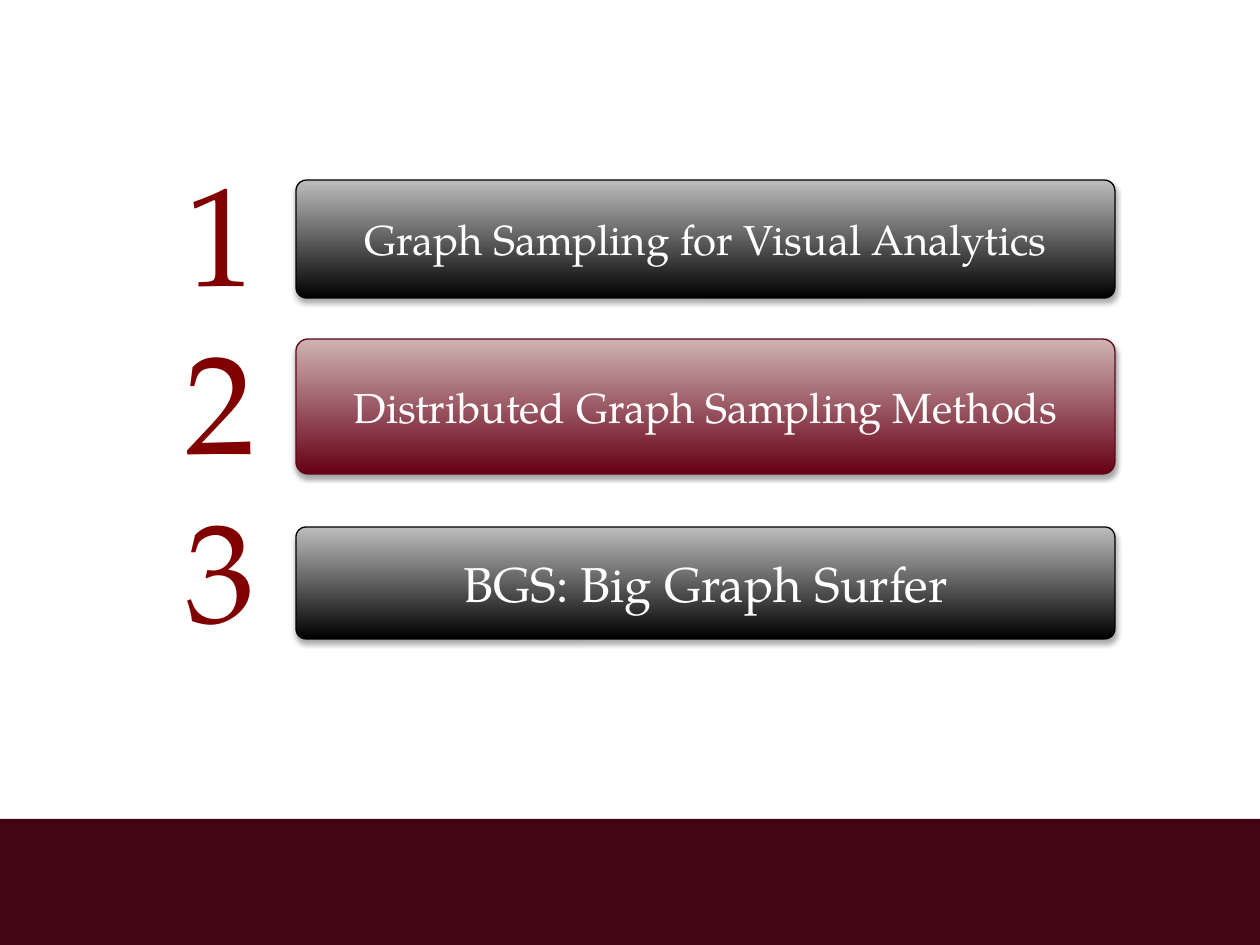
"""Build an agenda slide with three numbered topics above a dark footer band."""
from lxml.etree import SubElement
from pptx import Presentation
from pptx.dml.color import RGBColor
from pptx.enum.shapes import MSO_SHAPE
from pptx.enum.text import MSO_ANCHOR, PP_ALIGN
from pptx.oxml import parse_xml
from pptx.oxml.ns import nsdecls, qn
from pptx.util import Emu, Pt

FONT = "TeX Gyre Pagella"
WHITE = RGBColor(0xFF, 0xFF, 0xFF)
BLACK = RGBColor(0x00, 0x00, 0x00)
GRAY = RGBColor(0xBD, 0xBD, 0xBD)
RED = RGBColor(0x80, 0x00, 0x00)
BAND = RGBColor(0x41, 0x06, 0x11)
WINE = RGBColor(0x67, 0x00, 0x15)
ROSE = RGBColor(0xCF, 0xB3, 0xB4)
WINE_EDGE = RGBColor(0x5E, 0x07, 0x18)


def px(*lengths):
    return [Emu(round(length * 914400 / 126)) for length in lengths]


def set_shadow(effects, blur, distance, opacity):
    shadow = SubElement(effects, qn("a:outerShdw"), blurRad=str(Pt(blur)), dist=str(Pt(distance)),
                        dir="5400000", algn="tl", rotWithShape="0")
    color = SubElement(shadow, qn("a:srgbClr"), val=str(BLACK))
    SubElement(color, qn("a:alpha"), val=str(opacity * 1000))


deck = Presentation()
deck.slide_width, deck.slide_height = px(1260, 945)
page = deck.slides.add_slide(deck.slide_layouts[6])

footer = page.shapes.add_shape(MSO_SHAPE.RECTANGLE, *px(0, 819, 1260, 126))
footer.shadow.inherit = False
footer.fill.solid()
footer.fill.fore_color.rgb = BAND
footer.line.fill.background()

numbers = page.shapes.add_textbox(*px(173, 140, 103, 518))
numbers.text_frame.word_wrap = True
numbers.text_frame.text = "1\n2\n3"
for para in numbers.text_frame.paragraphs:
    span = para.runs[0]
    span.font.size = Pt(80)
    span.font.color.rgb = RED
    span.font.name = FONT
    properties = span.font._element
    properties.insert(0, parse_xml(
        f'<a:ln {nsdecls("a")} w="{Pt(1.45)}"><a:solidFill><a:srgbClr val="{WHITE}"/></a:solidFill></a:ln>'))
    effects = parse_xml(f'<a:effectLst {nsdecls("a")}/>')
    set_shadow(effects, 4, 3, 45)
    properties.insert(2, effects)

topics = [
    ("Distributed Graph Sampling Methods", 339, 135, 24, WINE, ROSE, WINE_EDGE),
    ("Graph Sampling for Visual Analytics", 180, 118, 24, BLACK, GRAY, BLACK),
    ("BGS: Big Graph Surfer", 527, 112, 28, BLACK, GRAY, BLACK),
]
for title, top, height, size, bottom_color, top_color, edge in topics:
    box = page.shapes.add_shape(MSO_SHAPE.ROUNDED_RECTANGLE, *px(296, top, 819, height))
    box.adjustments[0] = 0.09
    box.fill.gradient()
    box.fill.gradient_angle = 90
    for stop, color in zip(box.fill.gradient_stops, (bottom_color, top_color)):
        stop.color.rgb = color
    box.line.color.rgb = edge
    box.line.width = Pt(0.75)
    box.shadow.inherit = False
    set_shadow(box._element.spPr.find(qn("a:effectLst")), 3.1, 1.8, 35)
    frame = box.text_frame
    frame.word_wrap = True
    frame.vertical_anchor = MSO_ANCHOR.MIDDLE
    frame.text = title
    para = frame.paragraphs[0]
    para.alignment = PP_ALIGN.CENTER
    span = para.runs[0]
    span.font.size = Pt(size)
    span.font.color.rgb = WHITE
    span.font.name = FONT

deck.save("out.pptx")
